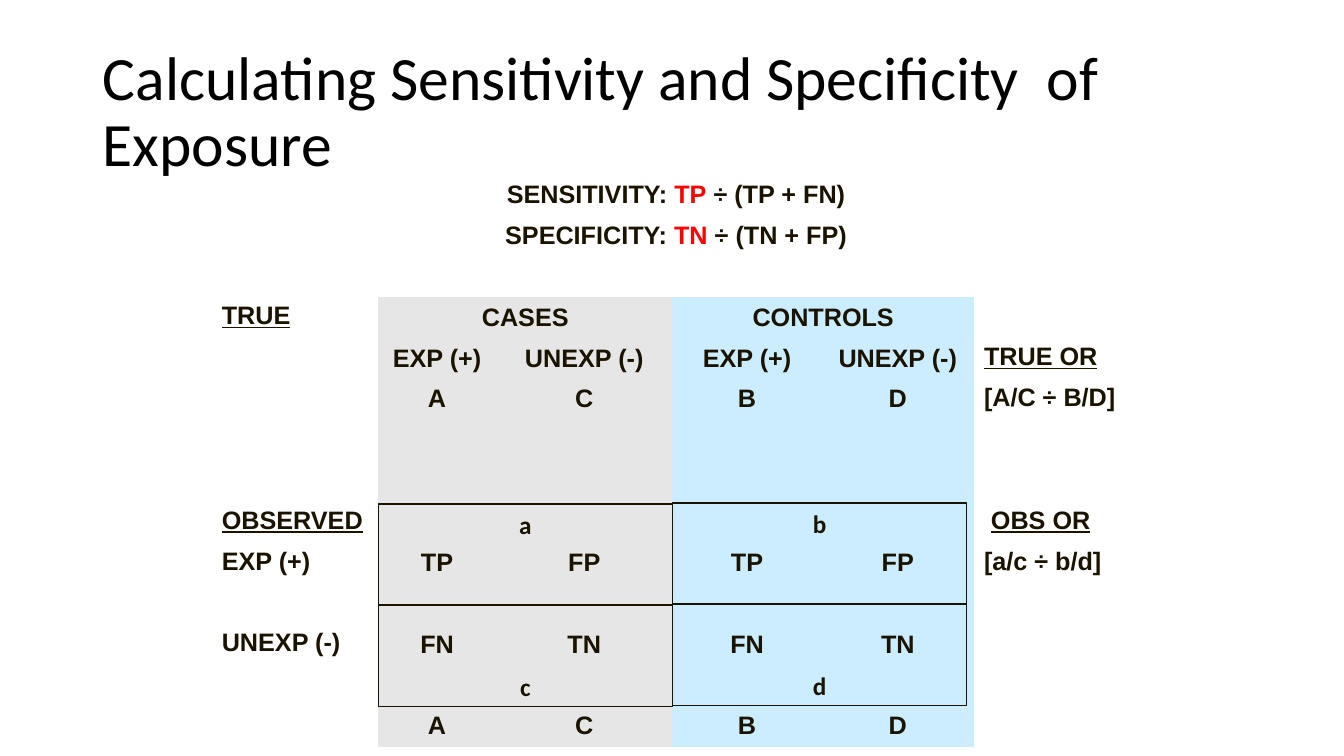
from dataclasses import dataclass

from pptx import Presentation
from pptx.dml.color import RGBColor
from pptx.enum.shapes import MSO_SHAPE
from pptx.enum.text import MSO_ANCHOR, MSO_AUTO_SIZE, PP_ALIGN
from pptx.util import Inches, Pt

RECTANGLE = MSO_SHAPE.RECTANGLE
TOP, MIDDLE, BOTTOM = MSO_ANCHOR.TOP, MSO_ANCHOR.MIDDLE, MSO_ANCHOR.BOTTOM
LEFT, CENTER = PP_ALIGN.LEFT, PP_ALIGN.CENTER
NO_AUTOSIZE = MSO_AUTO_SIZE.NONE
PLAIN_TABLE_STYLE = "{2D5ABB26-0587-4C30-8999-92F81FD0307C}"


@dataclass(frozen=True)
class Theme:
    ink: RGBColor = RGBColor.from_string("1A1300")
    title_ink: RGBColor = RGBColor.from_string("000000")
    highlight: RGBColor = RGBColor.from_string("FF0000")
    cases: RGBColor = RGBColor.from_string("E7E6E6")
    controls: RGBColor = RGBColor.from_string("CCECFF")
    table_font: str = "Arial"
    title_font: str = "Calibri"
    title_size: Pt = Pt(44)
    body_size: Pt = Pt(18)
    outline: Pt = Pt(0.75)


THEME = Theme()

# Content
TITLE = "Calculating Sensitivity and Specificity  of Exposure"
FORMULAS = [
    ("SENSITIVITY: ", "TP", " ÷ (TP + FN)"),
    ("SPECIFICITY: ", "TN", " ÷ (TN + FP)"),
]
GROUPS = ["CASES", "CONTROLS"]
EXPOSURES = ["EXP (+)", "UNEXP (-)"] * 2
TOTALS = ["A", "C", "B", "D"]
COUNTS = {
    4: EXPOSURES,
    5: TOTALS,
    9: ["TP", "FP"] * 2,
    11: ["FN", "TN"] * 2,
    13: TOTALS,
}
# (row, column): (indent, text, underlined)
SIDE_LABELS = {
    (3, 0): ("", "TRUE", True),
    (4, 5): ("", "TRUE OR", True),
    (5, 5): ("", "[A/C ÷ B/D]", False),
    (8, 0): ("", "OBSERVED", True),
    (8, 5): (" ", "OBS OR", True),
    (9, 0): ("", "EXP (+)", False),
    (9, 5): ("", "[a/c ÷ b/d]", False),
    (11, 0): ("", "UNEXP (-)", False),
}
BOX_LETTERS = [("a", "b"), ("c", "d")]

# Layout, in inches
SLIDE_SIZE = 13.33, 7.5
TITLE_AREA = 0.92, 0.4, 11.5, 1.45
TABLE_LEFT, TABLE_TOP, TABLE_HEIGHT = 2.1, 1.73, 5.68
COLUMN_WIDTHS = [1.65, 1.17, 1.75, 1.48, 1.51, 1.51]
ROW_COUNT, GROUP_ROW = 14, 3
BOX_LEFT, BOX_TOP = TABLE_LEFT + COLUMN_WIDTHS[0], 5.0
BOX_WIDTH, BOX_HEIGHT = 2.92, 1.0


def style(paragraph, font_name, align, size=THEME.body_size, color=THEME.ink, bold=True):
    paragraph.alignment = align
    font = paragraph.font
    font.name, font.size, font.bold = font_name, size, bold
    font.color.rgb = color


def write_cell(cell, parts, align=CENTER, anchor=MIDDLE):
    """Write the parts as runs and return the runs."""
    cell.vertical_anchor = anchor
    paragraph = cell.text_frame.paragraphs[0]
    style(paragraph, THEME.table_font, align)
    runs = []
    for part in parts:
        run = paragraph.add_run()
        run.text = part
        runs.append(run)
    return runs


def add_title(slide):
    title = slide.shapes.title
    title.left, title.top, title.width, title.height = map(Inches, TITLE_AREA)
    frame = title.text_frame
    frame.text = TITLE
    frame.word_wrap, frame.auto_size = True, NO_AUTOSIZE
    frame.vertical_anchor = MIDDLE
    paragraph = frame.paragraphs[0]
    paragraph.line_spacing = 0.9
    style(paragraph, THEME.title_font, LEFT, THEME.title_size, THEME.title_ink, False)


def add_plain_table(slide):
    table = slide.shapes.add_table(
        ROW_COUNT, len(COLUMN_WIDTHS), Inches(TABLE_LEFT), Inches(TABLE_TOP),
        Inches(sum(COLUMN_WIDTHS)), Inches(TABLE_HEIGHT)).table
    table.first_row = table.horz_banding = False
    table._tbl.tblPr[0].text = PLAIN_TABLE_STYLE
    for column, width in zip(table.columns, COLUMN_WIDTHS):
        column.width = Inches(width)
    for row_index, row in enumerate(table.rows):
        for column_index, cell in enumerate(row.cells):
            if row_index >= GROUP_ROW and 1 <= column_index <= 4:
                cell.fill.solid()
                cell.fill.fore_color.rgb = THEME.cases if column_index < 3 else THEME.controls
            else:
                cell.fill.background()
    return table


def fill_table(table):
    for row, formula in enumerate(FORMULAS):
        table.cell(row, 1).merge(table.cell(row, 4))
        runs = write_cell(table.cell(row, 1), formula)
        runs[1].font.color.rgb = THEME.highlight
    for column, group in zip((1, 3), GROUPS):
        for row in (GROUP_ROW - 1, GROUP_ROW):
            table.cell(row, column).merge(table.cell(row, column + 1))
        write_cell(table.cell(GROUP_ROW, column), [group])
    for row, values in COUNTS.items():
        for column, value in enumerate(values, start=1):
            write_cell(table.cell(row, column), [value])
    for (row, column), (indent, label, underlined) in SIDE_LABELS.items():
        parts = [indent, label] if indent else [label]
        runs = write_cell(table.cell(row, column), parts, LEFT, TOP)
        if underlined:
            runs[-1].font.underline = True


def add_boxes(slide):
    for row, (letters, anchor) in enumerate(zip(BOX_LETTERS, (TOP, BOTTOM))):
        for column, letter in enumerate(letters):
            box = slide.shapes.add_shape(
                RECTANGLE, Inches(BOX_LEFT + column * BOX_WIDTH),
                Inches(BOX_TOP + row * BOX_HEIGHT - column * 0.01),
                Inches(BOX_WIDTH), Inches(BOX_HEIGHT + 0.01))
            box.shadow.inherit = False
            box.fill.background()
            box.line.color.rgb, box.line.width = THEME.ink, THEME.outline
            frame = box.text_frame
            frame.text, frame.word_wrap = letter, True
            frame.vertical_anchor = anchor
            style(frame.paragraphs[0], THEME.title_font, CENTER)


def main():
    deck = Presentation()
    deck.slide_width, deck.slide_height = map(Inches, SLIDE_SIZE)
    slide = deck.slides.add_slide(deck.slide_layouts[5])
    add_title(slide)
    fill_table(add_plain_table(slide))
    add_boxes(slide)
    deck.save("out.pptx")


if __name__ == "__main__":
    main()
